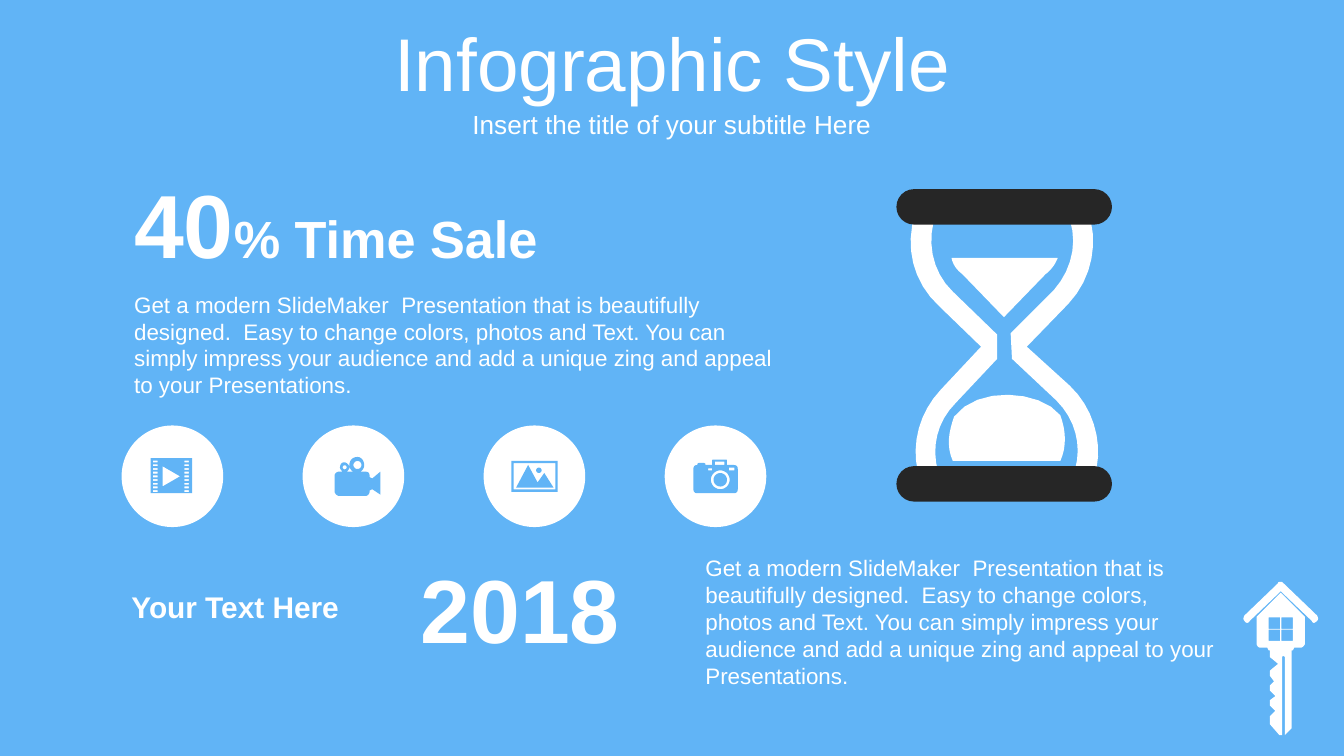
import math
from pptx import Presentation
from pptx.dml.color import RGBColor
from pptx.enum.shapes import MSO_SHAPE
from pptx.enum.text import MSO_ANCHOR, PP_ALIGN
from pptx.util import Inches, Pt

OVAL, PILL = MSO_SHAPE.OVAL, MSO_SHAPE.ROUNDED_RECTANGLE
TOP, MIDDLE = MSO_ANCHOR.TOP, MSO_ANCHOR.MIDDLE
LEFT, CENTER = PP_ALIGN.LEFT, PP_ALIGN.CENTER
COLORS = {"sky": "61B4F6", "white": "FFFFFF", "dark": "262626"}
FONT = "Arial"

prs = Presentation()
prs.slide_width = Inches(10)
prs.slide_height = prs.slide_width * 9 // 16
CELL = prs.slide_width // 1000  # the grid has 1000 columns of square cells
s = prs.slides.add_slide(prs.slide_layouts[6])
s.background.fill.solid()
s.background.fill.fore_color.rgb = RGBColor.from_string(COLORS["sky"])


def add_text(box, runs, align=LEFT, anchor=TOP, wrap=True):
    """Add a text box; runs are (text, size, bold)."""
    tf = s.shapes.add_textbox(*(round(v * CELL) for v in box)).text_frame
    tf.word_wrap, tf.vertical_anchor = wrap, anchor
    p = tf.paragraphs[0]
    p.alignment = align
    for text, size, bold in runs:
        r = p.add_run()
        r.text = text
        r.font.name, r.font.size, r.font.bold = FONT, Pt(size), bold
        r.font.color.rgb = RGBColor.from_string(COLORS["white"])


def add_outline(contours, color):
    """Draw contours: (cx, cy, r) circle, (x, y, w, h) rectangle,
    or a list of points and six-number cubic curves."""
    builder = None
    for c in contours:
        if isinstance(c, list):
            points = [c[0]]
            for seg in c[1:]:
                if len(seg) == 2:
                    points.append(seg)
                    continue
                (x0, y0), (x1, y1, x2, y2, x3, y3) = points[-1], seg
                for t in (i / 8 for i in range(1, 9)):
                    u = 1 - t
                    k = u**3, 3 * u * u * t, 3 * u * t * t, t**3
                    points.append((k[0] * x0 + k[1] * x1 + k[2] * x2 + k[3] * x3,
                                   k[0] * y0 + k[1] * y1 + k[2] * y2 + k[3] * y3))
        elif len(c) == 3:
            cx, cy, radius = c
            points = [(cx + radius * math.cos(math.radians(a)),
                       cy + radius * math.sin(math.radians(a))) for a in range(0, 360, 10)]
        else:
            x, y, w, h = c
            points = [(x, y), (x + w, y), (x + w, y + h), (x, y + h)]
        points = [(x * CELL, y * CELL) for x, y in points]
        if builder is None:
            builder = s.shapes.build_freeform(*points[0], scale=1.0)
        else:
            builder.move_to(*points[0])
        builder.add_line_segments(points[1:], close=True)
    sp = builder.convert_to_shape()
    sp.shadow.inherit = False
    sp.fill.solid()
    sp.fill.fore_color.rgb = RGBColor.from_string(COLORS[color])
    sp.line.fill.background()


# House key
key_blade = [(945, 484), (961, 484), (961, 542), (956, 547), (956, 489),
             (956, 488, 954, 488, 954, 489), (954, 547), (952, 547), (945, 539),
             (945, 533), (949, 529), (945, 525), (945, 521), (949, 518), (945, 514),
             (945, 510), (948, 507), (945, 503), (945, 499), (951, 494), (945, 489)]
house = [(953, 441), (971, 459), (971, 479), (971, 480, 969, 482, 968, 482),
         (963, 482), (962, 484), (944, 484), (943, 482), (938, 482),
         (936, 482, 935, 480, 935, 479), (935, 459)]
roof = [(953, 433), (954, 433, 954, 433, 955, 434), (980, 458),
        (981, 460, 981, 461, 980, 462), (978, 464, 977, 464, 976, 462), (953, 440),
        (930, 462), (929, 464, 927, 464, 926, 462), (925, 461, 925, 460, 926, 458),
        (951, 434), (951, 433, 952, 433, 953, 433)]
panes = [(x, y, 8.5, 8.5) for x in (944, 953.5) for y in (459.5, 468.5)]
add_outline([key_blade, house, roof] + panes, "white")

# Title and subtitle
add_text((0, 14, 1000, 63), [("Infographic Style", 40, False)], CENTER, MIDDLE)
add_text((0, 77, 1000, 31), [("Insert the title of your subtitle Here", 14, False)],
         CENTER, MIDDLE)

# Hourglass: glass walls, upper sand, lower sand, caps
right_wall = [(816, 348), (800, 349), (805, 331, 800, 312, 786, 298), (753, 267),
              (752, 248), (784, 216), (799, 199, 803, 176, 793, 156), (809, 156),
              (818, 179, 813, 207, 795, 226), (764, 258), (796, 287),
              (813, 303, 820, 327, 816, 348)]
left_wall = [(683, 351), (678, 330, 684, 307, 700, 290), (730, 258), (699, 228),
             (679, 210, 673, 183, 681, 159), (697, 158),
             (689, 178, 693, 202, 709, 217), (742, 249), (742, 267), (711, 300),
             (697, 314, 693, 333, 698, 351)]
upper_sand = [(708, 192), (787, 192), (785, 197, 782, 201, 778, 204), (747, 236),
              (716, 204), (712, 201, 709, 197, 708, 192)]
lower_sand = [(710, 310), (727, 287, 774, 290, 789, 309),
              (793, 320, 794, 332, 789, 343), (709, 343),
              (704, 332, 706, 321, 710, 310)]
for contours in ([right_wall, left_wall], [upper_sand], [lower_sand]):
    add_outline(contours, "white")
plates = [(PILL, 667, y, 160.4, 26.4, "dark") for y in (140.7, 346.8)]

# Icon discs at an equal pitch, drawn together with the caps
plates += [(OVAL, 90.5 + 134.7 * i, 316.6, 75.6, 75.6, "white") for i in range(4)]
for kind, x, y, w, h, color in plates:
    sp = s.shapes.add_shape(kind, *(round(v * CELL) for v in (x, y, w, h)))
    if kind == PILL:
        sp.adjustments[0] = 0.5
    sp.shadow.inherit = False
    sp.fill.solid()
    sp.fill.fore_color.rgb = RGBColor.from_string(COLORS[color])
    sp.line.fill.background()

# Photo camera icon
photo_body = [(531, 342), (540, 342), (541, 342, 541, 342, 541, 343), (541, 346),
              (546, 346), (548, 346, 549, 347, 549, 349), (549, 364),
              (549, 366, 548, 367, 546, 367), (519, 367), (517, 367, 516, 366, 516, 364),
              (516, 349), (516, 347, 517, 346, 519, 346), (519, 345), (520, 344.5),
              (524, 344.5), (525, 345), (525, 346), (530, 346), (530, 343),
              (530, 342, 530, 342, 531, 342)]
add_outline([photo_body, (536, 357, 7), (536, 357, 5), (527, 348.5, 3, 1.5),
             (542.5, 348, 4, 2), (532, 343.5, 7, 2.5)], "sky")

# Video camera icon
video_body = [(266, 340), (269, 340, 271, 343, 271, 346), (271, 348, 270, 350, 268, 351),
              (272, 351), (274, 351, 275, 352, 275, 354), (275, 355), (277, 356),
              (283, 351), (283, 368), (277, 364), (275, 365), (275, 366),
              (275, 367, 274, 369, 272, 369), (252, 369), (251, 369, 249, 367, 249, 366),
              (249, 354), (249, 352, 251, 351, 252, 351), (255, 351),
              (254, 350, 253, 349, 253, 348), (253, 346, 254, 344, 256, 344),
              (258, 344, 260, 346, 260, 348), (260, 349, 259, 350, 258, 351), (263, 351),
              (261, 350, 260, 348, 260, 346), (260, 343, 262, 340, 266, 340)]
add_outline([video_body, (256.5, 347.7, 1.5), (266, 346, 3)], "sky")

# Film icon
holes = [(x, 342.8 + 2.75 * i, 3.4, 1.4) for x in (113.8, 137.2) for i in range(9)]
add_outline([(112, 341, 31, 26), [(121, 347), (121, 362), (134, 354.5)]] + holes, "sky")

# Picture frame icon
mountains = [(393, 346), (400, 359), (405, 352), (412, 363), (384, 363)]
add_outline([(380.5, 343, 34.5, 23), (382.3, 344.7, 31, 19.5), mountains,
             (401, 350, 2)], "sky")

# Headline, body texts, label and year
body = [("Get a modern SlideMaker  Presentation that is beautifully designed.  "
         "Easy to change colors, photos and Text. You can simply impress your audience "
         "and add a unique zing and appeal to your Presentations.", 12, False)]
add_text((515, 407.4, 402, 111), body)
add_text((303, 407.4, 170, 91), [("2018", 48, True)], wrap=False)
add_text((63, 433, 224, 37), [("Your Text Here", 16, True)], CENTER)
add_text((90, 211.4, 504, 91), body)
add_text((90, 121, 324, 91), [("40", 48, True), ("% Time Sale", 28, True)], wrap=False)

prs.save("out.pptx")
